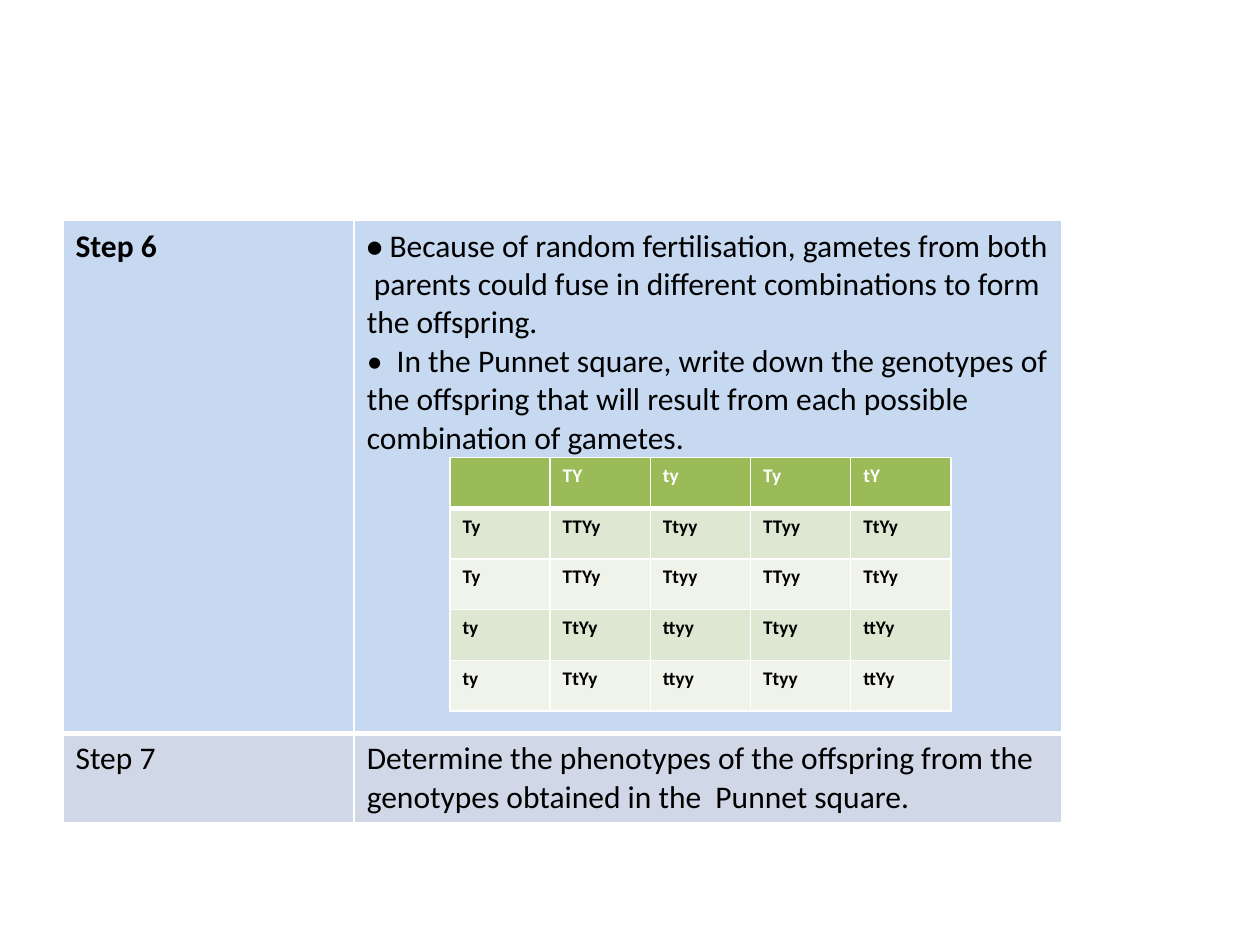
from dataclasses import dataclass

import pptx
import pptx.dml.color
import pptx.oxml
import pptx.oxml.ns
import pptx.util
from pptx.util import Cm


@dataclass(frozen=True)
class Theme:
    font: str = "Calibri"
    step_size: int = 18
    square_size: int = 11
    black: str = "000000"
    white: str = "FFFFFF"
    step_fills: tuple[str, ...] = ("C6D9F1", "D0D8E8")
    header_fill: str = "9BBB59"
    band_fills: tuple[str, ...] = ("DEE7D1", "EFF3EA")
    thin: int = 1
    thick: int = 3


@dataclass(frozen=True)
class Run:
    text: str
    bold: bool = False


@dataclass(frozen=True)
class Row:
    cells: list[list[list[Run]]]
    fill: str
    color: str
    height: float


@dataclass(frozen=True)
class Grid:
    left: float
    top: float
    widths: list[float]
    rows: list[Row]
    size: int


THEME = Theme()


def set_borders(cell, top: int, bottom: int) -> None:
    tc_pr = cell._tc.get_or_add_tcPr()
    widths = {"lnL": THEME.thin, "lnR": THEME.thin, "lnT": top, "lnB": bottom}
    for i, (tag, width) in enumerate(widths.items()):
        line = pptx.oxml.parse_xml(
            f'<a:{tag} {pptx.oxml.ns.nsdecls("a")} w="{pptx.util.Pt(width)}">'
            f'<a:solidFill><a:srgbClr val="{THEME.white}"/></a:solidFill>'
            f'</a:{tag}>'
        )
        tc_pr.insert(i, line)


def fill_cell(cell, paragraphs: list[list[Run]], row: Row, size: int) -> None:
    cell.fill.solid()
    cell.fill.fore_color.rgb = pptx.dml.color.RGBColor.from_string(row.fill)
    tf = cell.text_frame
    for i, runs in enumerate(paragraphs):
        p = tf.paragraphs[0] if i == 0 else tf.add_paragraph()
        for run in runs:
            r = p.add_run()
            r.text = run.text
            r.font.name = THEME.font
            r.font.size = pptx.util.Pt(size)
            r.font.bold = run.bold
            r.font.color.rgb = pptx.dml.color.RGBColor.from_string(row.color)


def draw_grid(s, grid: Grid) -> None:
    table = s.shapes.add_table(
        len(grid.rows), len(grid.widths), Cm(grid.left), Cm(grid.top),
        Cm(sum(grid.widths)), Cm(sum(row.height for row in grid.rows)),
    ).table
    table.horz_banding = False
    for column, width in zip(table.columns, grid.widths):
        column.width = Cm(width)
    for i, row in enumerate(grid.rows):
        table.rows[i].height = Cm(row.height)
        for j, paragraphs in enumerate(row.cells):
            cell = table.cell(i, j)
            fill_cell(cell, paragraphs, row, grid.size)
            set_borders(
                cell,
                top=THEME.thick if i == 1 else THEME.thin,
                bottom=THEME.thick if i == 0 else THEME.thin,
            )


def steps_grid() -> Grid:
    step_6 = [
        [[Run("Step 6", True)]],
        [
            [
                Run("• ", True),
                Run("Because of random fertilisation, gametes from both  parents "
                    "could fuse in different combinations to form  the offspring."),
            ],
            [Run("•  In the Punnet square, write down the genotypes of the "
                 "offspring that will result from each possible combination of gametes.")],
        ],
    ]
    step_7 = [
        [[Run("Step 7")]],
        [[Run("Determine the phenotypes of the offspring from the genotypes "
              "obtained in the  Punnet square.")]],
    ]
    rows = [
        Row(cells, fill, THEME.black, height)
        for cells, fill, height in zip((step_6, step_7), THEME.step_fills, (10.34, 1.78))
    ]
    return Grid(1.27, 4.45, [5.87, 14.27], rows, THEME.step_size)


def punnet_grid() -> Grid:
    genotypes = [
        ["", "TY", "ty", "Ty", "tY"],
        ["Ty", "TTYy", "Ttyy", "TTyy", "TtYy"],
        ["Ty", "TTYy", "Ttyy", "TTyy", "TtYy"],
        ["ty", "TtYy", "ttyy", "Ttyy", "ttYy"],
        ["ty", "TtYy", "ttyy", "Ttyy", "ttYy"],
    ]
    rows = []
    for i, line in enumerate(genotypes):
        cells = [[[Run(text, True)]] if text else [] for text in line]
        fill = THEME.band_fills[(i - 1) % 2] if i else THEME.header_fill
        rows.append(Row(cells, fill, THEME.black if i else THEME.white, 1.02))
    return Grid(9.07, 9.22, [2.02] * 5, rows, THEME.square_size)


def main() -> None:
    prs = pptx.Presentation()
    prs.slide_width, prs.slide_height = Cm(25.4), Cm(19.05)
    s = prs.slides.add_slide(prs.slide_layouts[6])
    draw_grid(s, steps_grid())
    draw_grid(s, punnet_grid())
    prs.save("out.pptx")


if __name__ == "__main__":
    main()
